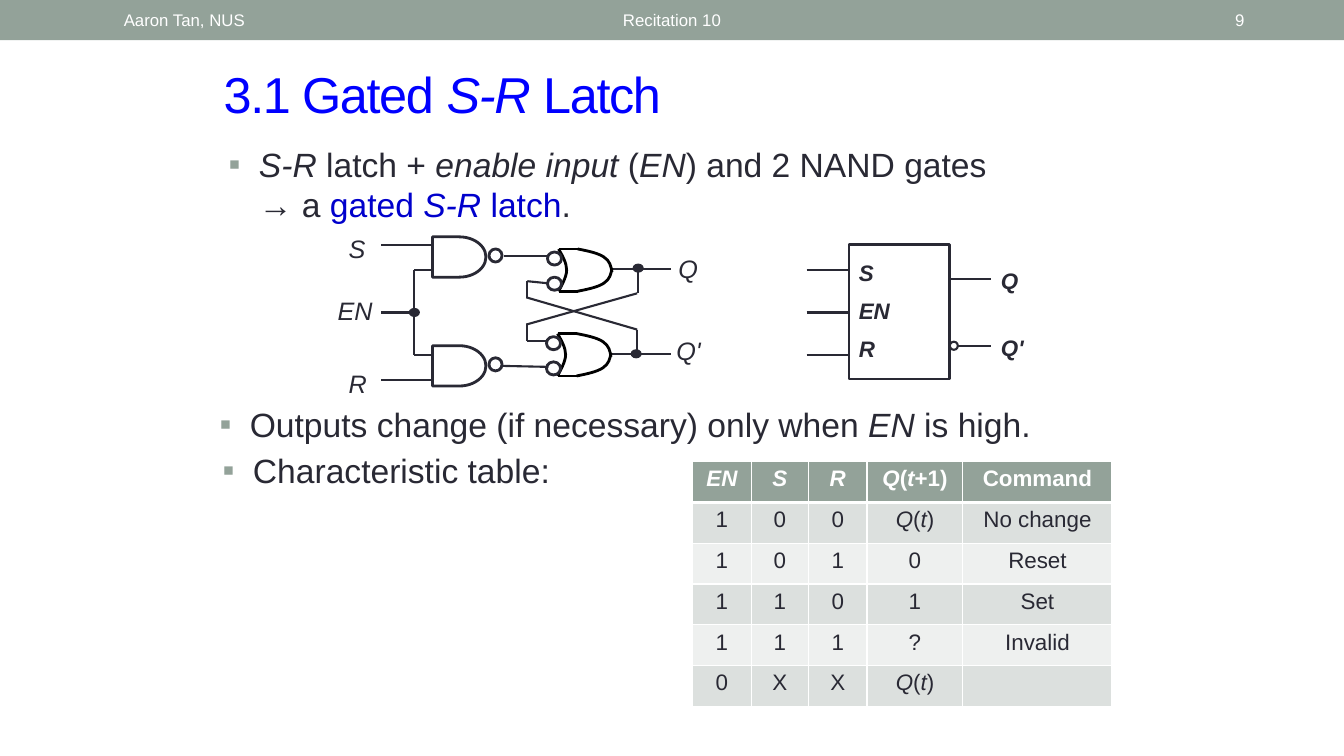
from dataclasses import dataclass
from typing import NamedTuple

from lxml.etree import SubElement
from pptx import Presentation
from pptx.dml.color import RGBColor
from pptx.enum.shapes import MSO_CONNECTOR, MSO_SHAPE
from pptx.enum.text import MSO_ANCHOR, PP_ALIGN
from pptx.oxml.ns import qn
from pptx.util import Inches, Pt


@dataclass(frozen=True)
class Theme:
    font: str = "Arial"
    sage: str = "93A299"
    ink: str = "292934"
    title: str = "0000FF"
    accent: str = "0000CC"
    gate: str = "000000"
    white: str = "FFFFFF"
    bands: tuple[str, str] = ("DCE0DE", "EEF0EF")
    title_size: float = 36
    body_size: float = 24
    label_size: float = 18
    small_size: float = 16
    footer_size: float = 12
    wire: float = 1.5
    outline: float = 2


THEME = Theme()


class Point(NamedTuple):
    x: float
    y: float


class Area(NamedTuple):
    left: float
    top: float
    width: float
    height: float


class Label(NamedTuple):
    area: Area
    lines: tuple[str, ...]
    size: float
    color: str = THEME.ink
    bold: bool = False
    bullet: bool = False
    gap: float = 0
    align: PP_ALIGN = PP_ALIGN.LEFT
    anchor: MSO_ANCHOR = MSO_ANCHOR.TOP
    spacing: int = 0


class Wire(NamedTuple):
    x1: float
    y1: float
    x2: float
    y2: float


LABELS = [
    Label(Area(2.12, 0.58, 9.42, 0.7), ("3.1 Gated *S-R* Latch",), THEME.title_size, THEME.title,
          anchor=MSO_ANCHOR.MIDDLE, spacing=-100),
    Label(Area(2.17, 1.38, 8.03, 1.04),
          ("*S-R* latch + *enable input* (*EN*) and 2 NAND gates → a |gated *S-R* latch|.",),
          THEME.body_size, bullet=True),
    Label(Area(2.08, 3.96, 9, 0.64), ("Outputs change (if necessary) only when *EN* is high.",),
          THEME.body_size, bullet=True),
    Label(Area(2.11, 4.41, 3.65, 0.7), ("Characteristic table:",), THEME.body_size, bullet=True),
    Label(Area(3.36, 2.27, 0.48, 0.4), ("*S*",), THEME.label_size),
    Label(Area(3.25, 2.88, 0.6, 0.4), ("*EN*",), THEME.label_size),
    Label(Area(3.36, 3.6, 0.44, 0.4), ("*R*",), THEME.label_size),
    Label(Area(6.63, 2.46, 0.46, 0.4), ("*Q*",), THEME.label_size),
    Label(Area(6.61, 3.28, 0.46, 0.4), ("*Q'*",), THEME.label_size),
    Label(Area(8.42, 2.52, 0.58, 1.17), ("*S*", "*EN*", "*R*"), THEME.small_size, bold=True, gap=8),
    Label(Area(9.83, 2.6, 0.5, 1.06), ("*Q*", "*Q'*"), THEME.small_size, bold=True, gap=28.5),
]
FOOTERS = [
    (Area(3.02, 0.02, 7.29, 0.36), "Recitation 10", PP_ALIGN.CENTER),
    (Area(1.13, 0.02, 3.17, 0.36), "Aaron Tan, NUS", PP_ALIGN.LEFT),
    (Area(11.49, 0.02, 0.95, 0.36), "9", PP_ALIGN.RIGHT),
]
INPUT_WIRES = [
    Wire(3.78, 2.43, 4.3, 2.43), Wire(3.78, 3.77, 4.3, 3.77), Wire(3.78, 3.1, 4.13, 3.1),
    Wire(4.11, 2.68, 4.3, 2.68), Wire(4.11, 3.52, 4.3, 3.52), Wire(4.11, 2.68, 4.11, 3.52),
]
LATCH_WIRES = [
    Wire(5, 2.54, 5.43, 2.54), Wire(4.99, 3.63, 5.44, 3.64),
    Wire(5.23, 2.79, 5.43, 2.81), Wire(5.23, 3.38, 5.43, 3.38),
    Wire(5.23, 2.79, 5.23, 2.96), Wire(5.23, 3.21, 5.23, 3.38),
    Wire(6.07, 2.67, 6.66, 2.67), Wire(6.07, 3.51, 6.66, 3.51),
    Wire(6.32, 3.27, 6.32, 3.52), Wire(6.33, 2.67, 6.33, 2.91),
    Wire(5.22, 2.95, 6.32, 3.27), Wire(6.32, 2.91, 5.22, 3.22),
]
SYMBOL_WIRES = [Wire(8, y, 8.42, y) for y in (2.68, 3.1, 3.52)] + [
    Wire(9.42, 2.77, 9.83, 2.77), Wire(9.5, 3.43, 9.83, 3.43)]
JUNCTIONS = [Point(4.06, 3.06), Point(6.28, 2.62), Point(6.26, 3.47)]
NAND_GATES = [Point(4.29, 2.35), Point(4.29, 3.43)]
OR_GATES = [Point(5.54, 2.47), Point(5.53, 3.31)]
OR_HEIGHT = 0.42
OR_BACK = [Point(0, 0), Point(0.04, 0.07), Point(0.08, 0.14), Point(0.08, 0.21),
           Point(0.08, 0.28), Point(0.02, 0.38), Point(0, OR_HEIGHT)]
OR_TOP = [Point(0.19, 0), Point(0.29, 0.02), Point(0.39, 0.04), Point(0.45, 0.08),
          Point(0.51, 0.12), Point(0.52, 0.17), Point(0.53, 0.23)]
OR_BOTTOM = [Point(x, OR_HEIGHT - y) for x, y in OR_TOP]

TABLE_AREA = Area(6.87, 4.58, 4.16, 2.43)
COLUMN_WIDTHS = [0.58, 0.57, 0.58, 0.95, 1.48]
TABLE_ROWS = [
    ["*EN*", "*S*", "*R*", "*Q*(*t*+1)", "Command"],
    ["1", "0", "0", "*Q*(*t*)", "No change"],
    ["1", "0", "1", "0", "Reset"],
    ["1", "1", "0", "1", "Set"],
    ["1", "1", "1", "?", "Invalid"],
    ["0", "X", "X", "*Q*(*t*)", ""],
]


def rgb(color: str) -> RGBColor:
    return RGBColor.from_string(color)


def write_line(para, markup: str, size: float, color: str, bold: bool = False, spacing: int = 0) -> None:
    for accented, part in enumerate(markup.split("|")):
        for slanted, words in enumerate(part.split("*")):
            if not words:
                continue
            span = para.add_run()
            span.text = words
            span.font.name = THEME.font
            span.font.size = Pt(size)
            span.font.bold = bold
            span.font.italic = slanted % 2 == 1
            span.font.color.rgb = rgb(THEME.accent if accented % 2 else color)
            if spacing:
                span.font._element.set("spc", str(spacing))


def add_bullet(para) -> None:
    properties = para._p.get_or_add_pPr()
    properties.set("marL", str(Inches(0.3)))
    properties.set("indent", str(Inches(-0.3)))
    SubElement(SubElement(properties, qn("a:buClr")), qn("a:srgbClr"), val=THEME.sage)
    SubElement(properties, qn("a:buFont"), typeface=THEME.font)
    SubElement(properties, qn("a:buChar"), char="▪")


def draw_label(page, label: Label) -> None:
    frame = page.shapes.add_textbox(*map(Inches, label.area)).text_frame
    frame.word_wrap = True
    frame.vertical_anchor = label.anchor
    for index, markup in enumerate(label.lines):
        para = frame.add_paragraph() if index else frame.paragraphs[0]
        para.alignment = label.align
        if index:
            para.space_before = Pt(label.gap)
        if label.bullet:
            add_bullet(para)
        write_line(para, markup, label.size, label.color, label.bold, label.spacing)


def draw_shape(page, kind: MSO_SHAPE, area: Area, fill: str = "", weight: float = 0) -> None:
    shape = page.shapes.add_shape(kind, *map(Inches, area))
    shape.shadow.inherit = False
    if fill:
        shape.fill.solid()
        shape.fill.fore_color.rgb = rgb(fill)
    else:
        shape.fill.background()
    if weight:
        shape.line.color.rgb = rgb(THEME.ink)
        shape.line.width = Pt(weight)
    else:
        shape.line.fill.background()


def draw_wire(page, wire: Wire, color: str = THEME.ink, weight: float = THEME.wire) -> None:
    line = page.shapes.add_connector(MSO_CONNECTOR.STRAIGHT, *map(Inches, wire))
    line.line.color.rgb = rgb(color)
    line.line.width = Pt(weight)
    SubElement(line._element.spPr, qn("a:effectLst"))


def draw_curve(page, corner: Point, controls: list[Point]) -> None:
    start, *vertices = [(Inches(corner.x + x), Inches(corner.y + y)) for x, y in controls]
    builder = page.shapes.build_freeform(*start)
    builder.add_line_segments(vertices, close=False)
    curve = builder.convert_to_shape()
    segments = list(curve._element.iter(qn("a:lnTo")))
    for first in range(0, len(segments), 3):
        outline = segments[first].getparent()
        bezier = SubElement(outline, qn("a:cubicBezTo"))
        for segment in segments[first:first + 3]:
            bezier.append(segment[0])
            outline.remove(segment)
    curve.shadow.inherit = False
    curve.fill.background()
    curve.line.color.rgb = rgb(THEME.gate)
    curve.line.width = Pt(THEME.outline)


def draw_nand_gate(page, corner: Point) -> None:
    x, y = corner
    draw_shape(page, MSO_SHAPE.FLOWCHART_DELAY, Area(x, y, 0.53, 0.4), weight=THEME.outline)
    draw_shape(page, MSO_SHAPE.OVAL, Area(x + 0.56, y + 0.12, 0.13, 0.13), weight=THEME.outline)


def draw_or_gate(page, corner: Point) -> None:
    for controls in (OR_BACK, OR_TOP, OR_BOTTOM):
        draw_curve(page, corner, controls)
    for y in (corner.y, corner.y + OR_HEIGHT):
        draw_wire(page, Wire(corner.x, y, corner.x + 0.19, y), THEME.gate, THEME.outline)
    for drop in (0.03, 0.28):
        bubble = Area(corner.x - 0.11, corner.y + drop, 0.14, 0.13)
        draw_shape(page, MSO_SHAPE.OVAL, bubble, weight=THEME.outline)


def draw_table(page) -> None:
    table = page.shapes.add_table(len(TABLE_ROWS), len(COLUMN_WIDTHS), *map(Inches, TABLE_AREA)).table
    for column, width in zip(table.columns, COLUMN_WIDTHS):
        column.width = Inches(width)
    for row, texts in enumerate(TABLE_ROWS):
        header = row == 0
        for column, markup in enumerate(texts):
            cell = table.cell(row, column)
            for side in ("L", "R", "T", "B"):
                thick = (row, side) in ((0, "B"), (1, "T"))
                border = SubElement(cell._tc.get_or_add_tcPr(), qn(f"a:ln{side}"), w=str(Pt(3 if thick else 1)))
                SubElement(SubElement(border, qn("a:solidFill")), qn("a:srgbClr"), val=THEME.white)
            cell.fill.solid()
            cell.fill.fore_color.rgb = rgb(THEME.sage if header else THEME.bands[(row - 1) % 2])
            para = cell.text_frame.paragraphs[0]
            para.alignment = PP_ALIGN.CENTER
            write_line(para, markup, THEME.small_size, THEME.white if header else THEME.ink, header)


def main() -> None:
    deck = Presentation()
    deck.slide_width, deck.slide_height = Inches(13.33), Inches(7.5)
    page = deck.slides.add_slide(deck.slide_layouts[6])
    draw_shape(page, MSO_SHAPE.RECTANGLE, Area(0, 0, 13.33, 0.4), THEME.sage)
    for wire in INPUT_WIRES + LATCH_WIRES + SYMBOL_WIRES:
        draw_wire(page, wire)
    for x, y in JUNCTIONS:
        draw_shape(page, MSO_SHAPE.OVAL, Area(x, y, 0.1, 0.08), THEME.ink, 0.75)
    for corner in NAND_GATES:
        draw_nand_gate(page, corner)
    for corner in OR_GATES:
        draw_or_gate(page, corner)
    draw_shape(page, MSO_SHAPE.RECTANGLE, Area(8.42, 2.43, 1, 1.33), weight=THEME.outline)
    draw_shape(page, MSO_SHAPE.OVAL, Area(9.42, 3.39, 0.08, 0.08), weight=THEME.wire)
    for label in LABELS:
        draw_label(page, label)
    draw_table(page)
    for area, text, align in FOOTERS:
        draw_label(page, Label(area, (text,), THEME.footer_size, THEME.white,
                               align=align, anchor=MSO_ANCHOR.MIDDLE))
    deck.save("out.pptx")


if __name__ == "__main__":
    main()
